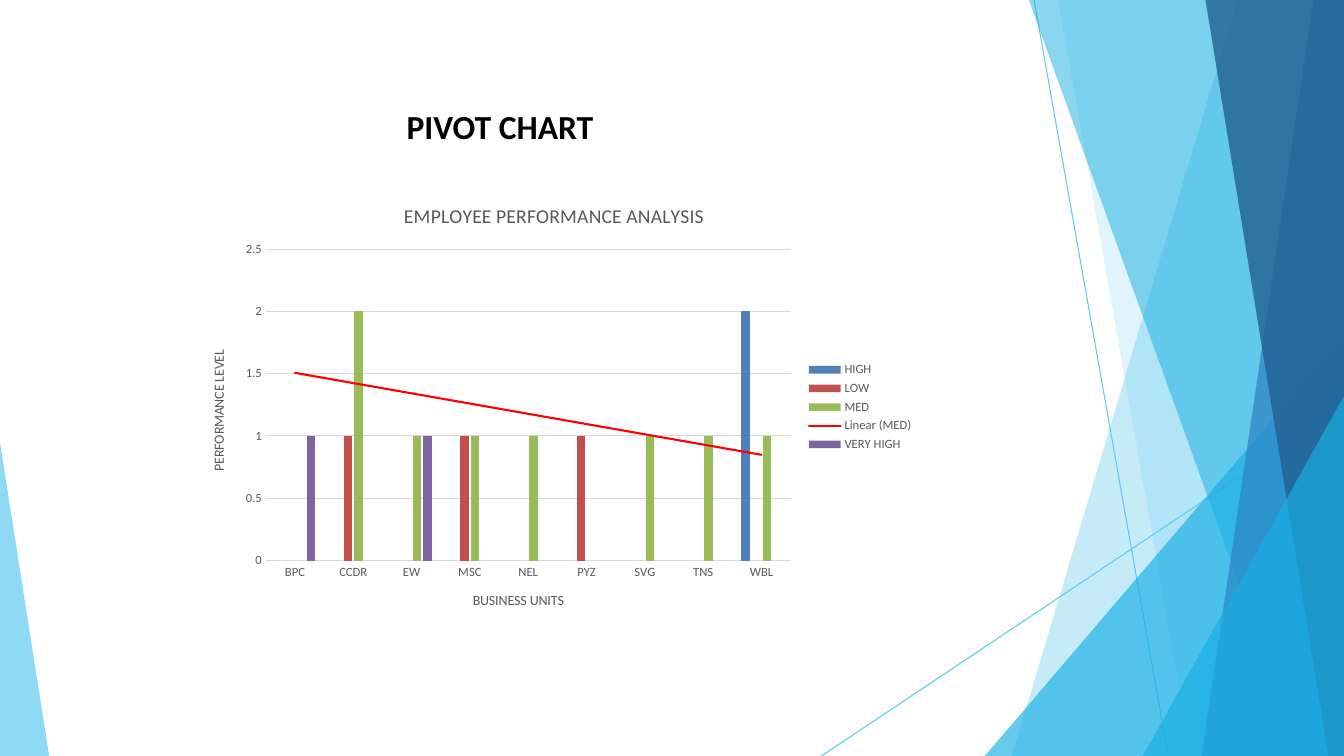
from dataclasses import dataclass

from lxml.etree import SubElement
from pptx import Presentation
from pptx.chart.axis import _BaseAxis
from pptx.chart.data import CategoryChartData
from pptx.dml.color import RGBColor
from pptx.dml.line import LineFormat
from pptx.enum.chart import XL_CHART_TYPE, XL_LEGEND_POSITION, XL_TICK_MARK
from pptx.enum.shapes import MSO_CONNECTOR
from pptx.enum.text import MSO_ANCHOR, MSO_AUTO_SIZE, PP_ALIGN
from pptx.oxml import parse_xml
from pptx.oxml.ns import nsdecls, qn
from pptx.slide import Slide
from pptx.text.text import Font, TextFrame
from pptx.util import Cm, Pt

WIDTH, HEIGHT = 33.87, 19.05
FONT = "Calibri"
COLORS = {
    "sky": "5FCAEE", "cyan": "17AFE3", "blue": "2D83C3", "navy": "226192",
    "black": "000000", "gray": "595959", "grid": "D9D9D9", "trend": "FF0000",
    "HIGH": "4F81BD", "LOW": "C0504D", "MED": "9BBB59", "VERY HIGH": "8064A2",
}
UNITS = ("BPC", "CCDR", "EW", "MSC", "NEL", "PYZ", "SVG", "TNS", "WBL")
LEVELS = {
    "HIGH": {"WBL": 2},
    "LOW": {"CCDR": 1, "MSC": 1, "PYZ": 1},
    "MED": {"CCDR": 2, "EW": 1, "MSC": 1, "NEL": 1, "SVG": 1, "TNS": 1, "WBL": 1},
    "VERY HIGH": {"BPC": 1, "EW": 1},
}
PLOT_AREA = {"x": 0.11, "y": 0.145, "w": 0.71, "h": 0.7}


@dataclass(frozen=True)
class Ray:
    """A thin line from one point to another, in centimetres."""
    x1: float
    y1: float
    x2: float
    y2: float


@dataclass(frozen=True)
class Panel:
    """A translucent panel between a slide edge and a slanted side."""
    edge: float
    top_x: float
    top: float
    bottom_x: float
    color: str
    opacity: int


RAYS = (Ray(26.06, 0, 29.44, HEIGHT), Ray(WIDTH, 10.26, 20.7, HEIGHT))
PANELS = (
    Panel(WIDTH, 31.19, 0, 25.5, "sky", 36),
    Panel(WIDTH, 26.67, 0, 30.02, "sky", 20),
    Panel(WIDTH, WIDTH, 8.46, 24.82, "cyan", 66),
    Panel(WIDTH, 25.93, 0, 32.79, "cyan", 50),
    Panel(WIDTH, 33.1, 0, 30.28, "blue", 70),
    Panel(WIDTH, 30.38, 0, 33.48, "navy", 80),
    Panel(WIDTH, WIDTH, 9.98, 28.8, "cyan", 66),
    Panel(0, 0, 11.15, 1.24, "sky", 70),
)


def apply(target: object, values: dict) -> None:
    """Set each named attribute on the target."""
    for name, value in values.items():
        setattr(target, name, value)


def rgb(color: str) -> RGBColor:
    """Look up a palette colour."""
    return RGBColor.from_string(COLORS[color])


def style_font(font: Font, size: float, color: str, bold: bool = False) -> None:
    """Give text its font, size, weight and colour."""
    apply(font, {"name": FONT, "size": Pt(size), "bold": bold})
    font.color.rgb = rgb(color)


def style_line(line: LineFormat, color: str) -> None:
    """Give a line its colour and hairline width."""
    line.color.rgb = rgb(color)
    line.width = Pt(0.75)


def draw_ray(slide: Slide, ray: Ray) -> None:
    """Draw one thin decorative line."""
    ends = (Cm(value) for value in (ray.x1, ray.y1, ray.x2, ray.y2))
    line = slide.shapes.add_connector(MSO_CONNECTOR.STRAIGHT, *ends)
    style_line(line.line, "sky")
    SubElement(line._element.spPr, qn("a:effectLst"))


def draw_panel(slide: Slide, panel: Panel) -> None:
    """Draw one translucent panel."""
    corners = ((panel.edge, panel.top), (panel.top_x, panel.top),
               (panel.bottom_x, HEIGHT), (panel.edge, HEIGHT))
    start, *others = [(Cm(x), Cm(y)) for x, y in dict.fromkeys(corners)]
    builder = slide.shapes.build_freeform(*start)
    builder.add_line_segments(others, close=True)
    shape = builder.convert_to_shape()
    shape.shadow.inherit = False
    shape.line.fill.background()
    shape.fill.solid()
    shape.fill.fore_color.rgb = rgb(panel.color)
    color = shape._element.spPr.find(f"{qn('a:solidFill')}/{qn('a:srgbClr')}")
    SubElement(color, qn("a:alpha"), val=str(panel.opacity * 1000))


def write_title(slide: Slide) -> None:
    """Place and format the slide title."""
    title = slide.shapes.title
    apply(title, {"left": Cm(7.62), "top": Cm(2.54), "width": Cm(9.96), "height": Cm(1.27)})
    apply(title.text_frame, {"text": "PIVOT CHART", "word_wrap": True,
                             "vertical_anchor": MSO_ANCHOR.TOP,
                             "auto_size": MSO_AUTO_SIZE.SHAPE_TO_FIT_TEXT})
    heading = title.text_frame.paragraphs[0]
    heading.alignment = PP_ALIGN.CENTER
    style_font(heading.runs[0].font, 24, "black", True)


def write_caption(frame: TextFrame, text: str, size: float) -> None:
    """Write a chart or axis title."""
    frame.text = text
    style_font(frame.paragraphs[0].runs[0].font, size, "gray")


def style_axis(axis: _BaseAxis, caption: str, values: dict) -> None:
    """Title and format one chart axis."""
    apply(axis, {"major_tick_mark": XL_TICK_MARK.NONE,
                 "minor_tick_mark": XL_TICK_MARK.NONE, **values})
    style_font(axis.tick_labels.font, 9, "gray")
    write_caption(axis.axis_title.text_frame, caption, 10)


def draw_chart(slide: Slide) -> None:
    """Draw the performance columns with the MED trend line."""
    data = CategoryChartData()
    data.categories = UNITS
    for level, counts in LEVELS.items():
        data.add_series(level, [counts.get(unit) for unit in UNITS])
    chart = slide.shapes.add_chart(XL_CHART_TYPE.COLUMN_CLUSTERED, Cm(4.65), Cm(4.65),
                                   Cm(18.63), Cm(11.22), data).chart
    style_font(chart.font, 10, "black")
    write_caption(chart.chart_title.text_frame, "EMPLOYEE PERFORMANCE ANALYSIS", 14)
    chart.has_legend = True
    apply(chart.legend, {"position": XL_LEGEND_POSITION.RIGHT, "include_in_layout": False})
    style_font(chart.legend.font, 9, "gray")

    style_axis(chart.category_axis, "BUSINESS UNITS", {"has_major_gridlines": False})
    style_line(chart.category_axis.format.line, "grid")
    style_axis(chart.value_axis, "PERFORMANCE LEVEL",
               {"minimum_scale": 0, "maximum_scale": 2.5, "major_unit": 0.5})
    chart.value_axis.format.line.fill.background()
    style_line(chart.value_axis.major_gridlines.format.line, "grid")

    columns = chart.plots[0]
    apply(columns, {"gap_width": 219, "overlap": -27, "vary_by_categories": False})
    for series in columns.series:
        series.invert_if_negative = False
        series.format.fill.solid()
        series.format.fill.fore_color.rgb = rgb(series.name)
        if series.name == "MED":
            series._element.find(qn("c:cat")).addprevious(parse_xml(
                f'<c:trendline {nsdecls("c", "a")}><c:spPr><a:ln w="{Pt(1.5)}" cap="rnd">'
                f'<a:solidFill><a:srgbClr val="{COLORS["trend"]}"/></a:solidFill></a:ln></c:spPr>'
                '<c:trendlineType val="linear"/><c:dispRSqr val="0"/><c:dispEq val="0"/>'
                '</c:trendline>'))

    plot_area = chart._chartSpace.chart.plotArea
    for layout in plot_area.findall(qn("c:layout")):
        plot_area.remove(layout)
    modes = "".join(f'<c:{side}Mode val="edge"/>' for side in "xy")
    sizes = "".join(f'<c:{side} val="{share}"/>' for side, share in PLOT_AREA.items())
    plot_area.insert(0, parse_xml(
        f'<c:layout {nsdecls("c")}><c:manualLayout><c:layoutTarget val="inner"/>'
        f'{modes}{sizes}</c:manualLayout></c:layout>'))


def main() -> None:
    """Build and save the slide."""
    deck = Presentation()
    apply(deck, {"slide_width": Cm(WIDTH), "slide_height": Cm(HEIGHT)})
    slide = deck.slides.add_slide(deck.slide_layouts.get_by_name("Title Only"))
    for ray in RAYS:
        draw_ray(slide, ray)
    for panel in PANELS:
        draw_panel(slide, panel)
    write_title(slide)
    draw_chart(slide)
    deck.save("out.pptx")


if __name__ == "__main__":
    main()
